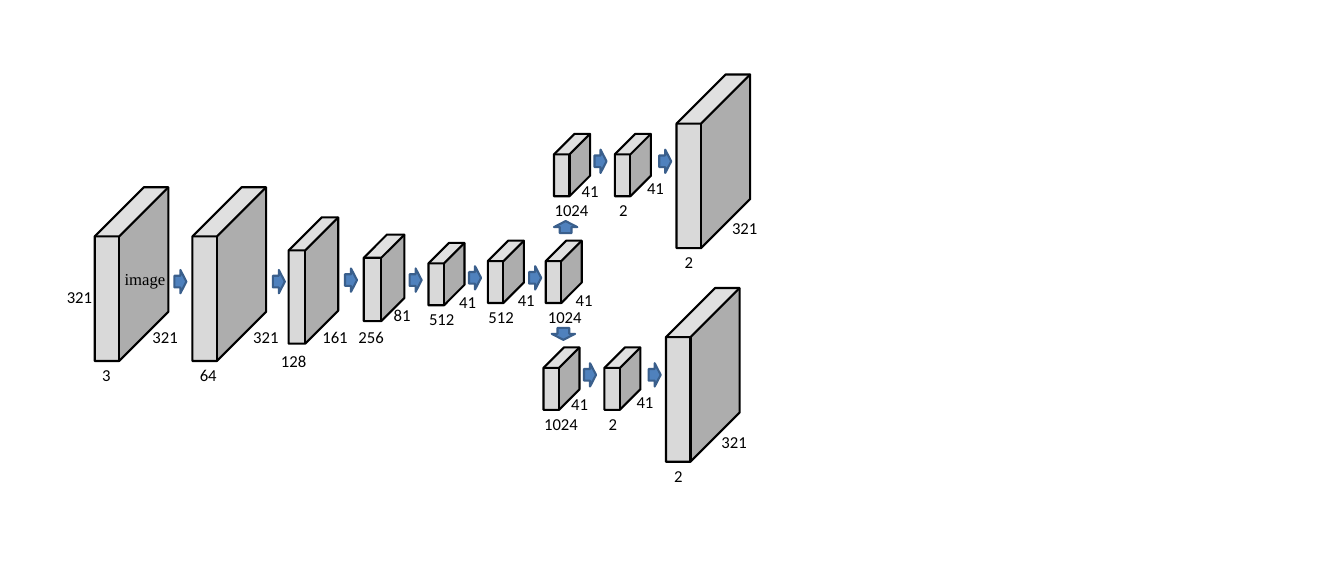
from collections import namedtuple

from pptx import Presentation
from pptx.dml.color import RGBColor
from pptx.enum.shapes import MSO_SHAPE as Shape
from pptx.enum.text import MSO_AUTO_SIZE as AutoSize
from pptx.util import Inches, Pt

COLUMNS, ROWS = 1788, 750
CELL = Inches(17.88) // COLUMNS
COLORS = {"block": "D9D9D9", "outline": "000000", "text": "000000",
          "arrow": "4F81BD", "arrow_line": "3A5F8C"}

Block = namedtuple("Block", "width height depth")
BLOCKS = {"321": Block(98, 231, 0.667), "161": Block(66, 168, 0.667),
          "81": Block(54, 115, 0.569), "41": Block(48, 83, 0.569)}

Layer = namedtuple("Layer", "left top size channels size_offset channel_offset arrow",
                   defaults=(None,))
TRUNK = [
    Layer(0, 0, "321", "3", (67, -50), (0, 0)),
    Layer(130, 0, "321", "64", (71, -50), (0, 0), (-24, 110)),
    Layer(258, 40, "161", "128", (35, -27), (-20, 5), (-21, 70)),
    Layer(358, 63, "81", "256", (30, -26), (-17, 3), (-25, 45)),
    Layer(444, 74, "41", "512", (31, -23), (-9, 0), (-25, 34)),
    Layer(523, 71, "41", "512", (30, -23), (-9, 0), (-25, 34)),
    Layer(600, 71, "41", "1024", (30, -23), (-7, 0), (-22, 34)),
]
BRANCH = [
    Layer(0, 79, "41", "1024", (27, -26), (-9, 0)),
    Layer(81, 79, "41", "2", (33, -29), (-4, 0), (-27, 21)),
    Layer(163, 0, "321", "2", (64, -45), (1, 0), (-23, 100)),
]


def cells(*lengths):
    """Turn grid cells into slide lengths."""
    return [CELL * length for length in lengths]


def add_text(slide, left, top, text, width=67, font="Calibri", size=16, color="text"):
    """Add a one-line label."""
    box = slide.shapes.add_textbox(*cells(left, top, width, 37))
    frame = box.text_frame
    frame.word_wrap = True
    frame.auto_size = AutoSize.SHAPE_TO_FIT_TEXT
    run = frame.paragraphs[0].add_run()
    run.text = text
    run.font.name = font
    run.font.size = Pt(size)
    run.font.color.rgb = RGBColor.from_string(COLORS[color])


def add_solid(slide, kind, left, top, width, height, fill, line):
    """Add a filled and outlined preset shape."""
    shape = slide.shapes.add_shape(kind, *cells(left, top, width, height))
    shape.shadow.inherit = False
    shape.fill.solid()
    shape.fill.fore_color.rgb = RGBColor.from_string(COLORS[fill])
    shape.line.color.rgb = RGBColor.from_string(COLORS[line])
    shape.line.width = Pt(2)
    return shape


def add_arrow(slide, kind, left, top):
    """Add a small block arrow along the flow."""
    width, height = (16, 31) if kind == Shape.RIGHT_ARROW else (31, 16)
    add_solid(slide, kind, left, top, width, height, "arrow", "arrow_line")


def add_layers(slide, left, top, layers):
    """Draw a chain of labelled layers from the given corner."""
    for layer in layers:
        x, y = left + layer.left, top + layer.top
        block = BLOCKS[layer.size]
        cube = add_solid(slide, Shape.CUBE, x, y, block.width, block.height,
                         "block", "outline")
        cube.adjustments[0] = block.depth
        for text, (dx, dy) in ((layer.size, layer.size_offset),
                               (layer.channels, layer.channel_offset)):
            add_text(slide, x + dx, y + block.height + dy, text)
        if layer.arrow:
            dx, dy = layer.arrow
            add_arrow(slide, Shape.RIGHT_ARROW, x + dx, y + dy)


def add_trunk(slide, left, top):
    """Draw the shared layers with the labels of the input image."""
    add_layers(slide, left, top, TRUNK)
    add_text(slide, left - 47, top + 127, "321")
    add_text(slide, left + 30, top + 103, "image", width=186, font="Times New Roman")


def add_branch(slide, left, top, arrow, arrow_offset):
    """Draw one output branch and the arrow that leads to it."""
    add_layers(slide, left, top, BRANCH)
    dx, dy = arrow_offset
    add_arrow(slide, arrow, left + dx, top + dy)


def main():
    """Build the network diagram."""
    presentation = Presentation()
    presentation.slide_width, presentation.slide_height = cells(COLUMNS, ROWS)
    slide = presentation.slides.add_slide(presentation.slide_layouts[6])
    add_trunk(slide, 126, 249)
    add_branch(slide, 723, 383, Shape.DOWN_ARROW, (11, 53))
    add_branch(slide, 737, 99, Shape.UP_ARROW, (0, 195))
    presentation.save("out.pptx")


if __name__ == "__main__":
    main()
